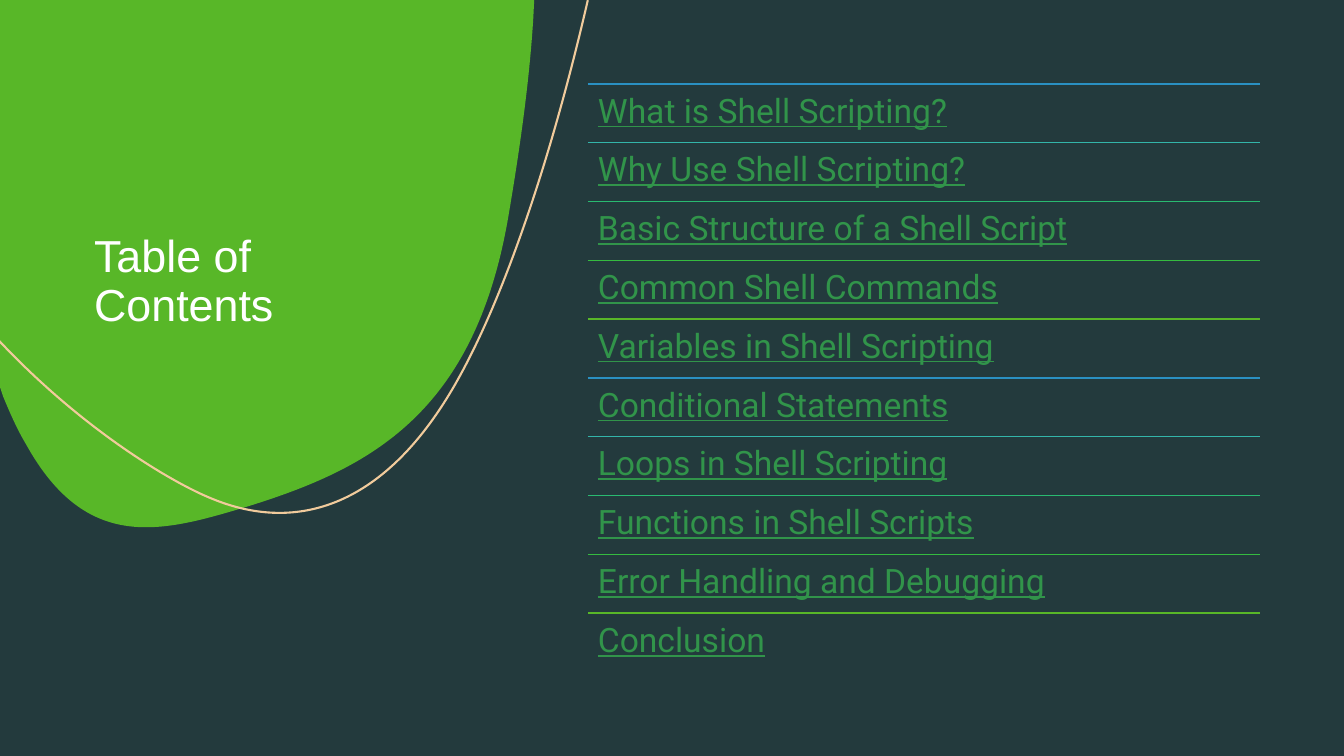
from itertools import cycle

from lxml import etree
from pptx import Presentation, util as u
from pptx.dml.color import RGBColor
from pptx.enum import shapes, text
from pptx.oxml.ns import qn

TITLE = "Table of Contents"
TOPICS = [
    "What is Shell Scripting?",
    "Why Use Shell Scripting?",
    "Basic Structure of a Shell Script",
    "Common Shell Commands",
    "Variables in Shell Scripting",
    "Conditional Statements",
    "Loops in Shell Scripting",
    "Functions in Shell Scripts",
    "Error Handling and Debugging",
    "Conclusion",
]

DARK = RGBColor(0x23, 0x3A, 0x3D)
GREEN = RGBColor(0x58, 0xB7, 0x28)
PEACH = RGBColor(0xF1, 0xCB, 0x9C)
WHITE = RGBColor(0xFF, 0xFF, 0xFF)
TOPIC_GREEN = RGBColor(0x31, 0x94, 0x4A)
RULES = [
    RGBColor(0x2A, 0x90, 0xC2),
    RGBColor(0x33, 0xB5, 0xAA),
    RGBColor(0x29, 0xBA, 0x71),
    RGBColor(0x35, 0xBB, 0x40),
    GREEN,
]

# Outlines in inches from the slide's top left corner: a start point, then
# segments of one point (straight) or three points (cubic curve).
BLOB_SIZE = (5.3, 5.23)
BLOB = [
    [(5.3, 0)],
    [(5.29, 0.2)],
    [(5.25, 0.82), (5.16, 1.46), (5.05, 2.11)],
    [(4.72, 4.11), (3.67, 4.65), (2.44, 5.03)],
    [(1.61, 5.28), (0.86, 5.49), (0.26, 4.41)],
    [(0.17, 4.26), (0.1, 4.1), (0.03, 3.93)],
    [(0, 3.84)],
    [(0, 0)],
]
SWOOP_SIZE = (5.83, 5.09)
SWOOP = [
    [(5.83, 0)],
    [(5.83, 0.01)],
    [(5.47, 1.57), (5.01, 2.93), (4.54, 3.77)],
    [(3.83, 5.04), (2.94, 5.29), (2.11, 4.95)],
    [(1.73, 4.8), (0.84, 4.28), (0, 3.39)],
    [(0, 3.38)],
]

deck = Presentation()
deck.slide_width, deck.slide_height = u.Inches(13.333), u.Inches(7.5)
CELL = deck.slide_height / 9  # the slide is a grid of 16 columns by 9 rows
LIST_LEFT, LIST_TOP, LIST_WIDTH, TOPIC_HEIGHT = 7, 1, 8, 0.7


def grid(*cells):
    return [round(cell * CELL) for cell in cells]


def inches(point):
    return tuple(u.Inches(value) for value in point)


def draw_outline(page, outline, size, close):
    """Draw straight sides between the end points, then bend the curved ones."""
    start, *ends = [inches(segment[-1]) for segment in outline]
    builder = page.shapes.build_freeform(*start)
    builder.add_line_segments(ends, close=close)
    shape = builder.convert_to_shape()
    shape.shadow.inherit = False

    shape.width, shape.height = inches(size)
    geometry = next(shape._element.iter(qn("a:path")))
    geometry.set("w", str(shape.width))
    geometry.set("h", str(shape.height))
    sides = geometry.findall(qn("a:lnTo"))
    for side, segment in zip(sides, outline[1:]):
        if len(segment) == 3:
            curve = etree.Element(qn("a:cubicBezTo"))
            for x, y in map(inches, segment):
                etree.SubElement(curve, qn("a:pt"), x=str(x), y=str(y))
            geometry.replace(side, curve)
    return shape


def fill_plain(shape, colour):
    shape.fill.solid()
    shape.fill.fore_color.rgb = colour
    shape.line.fill.background()


def style_text(para, font_name, size, colour):
    para.line_spacing = 0.9
    para.alignment = text.PP_ALIGN.LEFT
    para.font.name = font_name
    para.font.size = u.Pt(size)
    para.font.color.rgb = colour


def add_topic(page, topic, colour, row):
    top = LIST_TOP + row * TOPIC_HEIGHT
    rule = page.shapes.add_connector(
        shapes.MSO_CONNECTOR.STRAIGHT,
        *grid(LIST_LEFT, top, LIST_LEFT + LIST_WIDTH, top))
    rule.line.color.rgb = colour
    rule.line.width = u.Pt(1)
    etree.SubElement(rule._element.spPr, qn("a:effectLst"))

    box = page.shapes.add_textbox(*grid(LIST_LEFT, top, LIST_WIDTH, TOPIC_HEIGHT))
    frame = box.text_frame
    frame.word_wrap = True
    frame.margin_left = frame.margin_right = u.Inches(0.1)
    frame.margin_top = frame.margin_bottom = u.Inches(0.1)
    para = frame.paragraphs[0]
    para.text = topic
    style_text(para, "Roboto", 24, TOPIC_GREEN)
    para.font.underline = True


def main():
    page = deck.slides.add_slide(deck.slide_layouts[5])
    page.background.fill.solid()
    page.background.fill.fore_color.rgb = DARK

    backdrop = page.shapes.add_shape(
        shapes.MSO_SHAPE.RECTANGLE, 0, 0, deck.slide_width, deck.slide_height)
    backdrop.shadow.inherit = False
    fill_plain(backdrop, DARK)

    fill_plain(draw_outline(page, BLOB, BLOB_SIZE, close=True), GREEN)

    swoop = draw_outline(page, SWOOP, SWOOP_SIZE, close=False)
    swoop.fill.background()
    swoop.line.color.rgb = PEACH
    swoop.line.width = u.Pt(1.5)

    title = page.shapes.title
    title.left, title.top, title.width, title.height = grid(1, 1, 4, 3)
    title.text_frame.text = TITLE
    title.text_frame.word_wrap = True
    title.text_frame.auto_size = text.MSO_AUTO_SIZE.NONE
    title.text_frame.vertical_anchor = text.MSO_ANCHOR.BOTTOM
    style_text(title.text_frame.paragraphs[0], "Arial", 32, WHITE)
    page.shapes._spTree.append(title._element)  # bring in front of the blob

    for row, (topic, colour) in enumerate(zip(TOPICS, cycle(RULES))):
        add_topic(page, topic, colour, row)

    deck.save("out.pptx")


if __name__ == "__main__":
    main()
